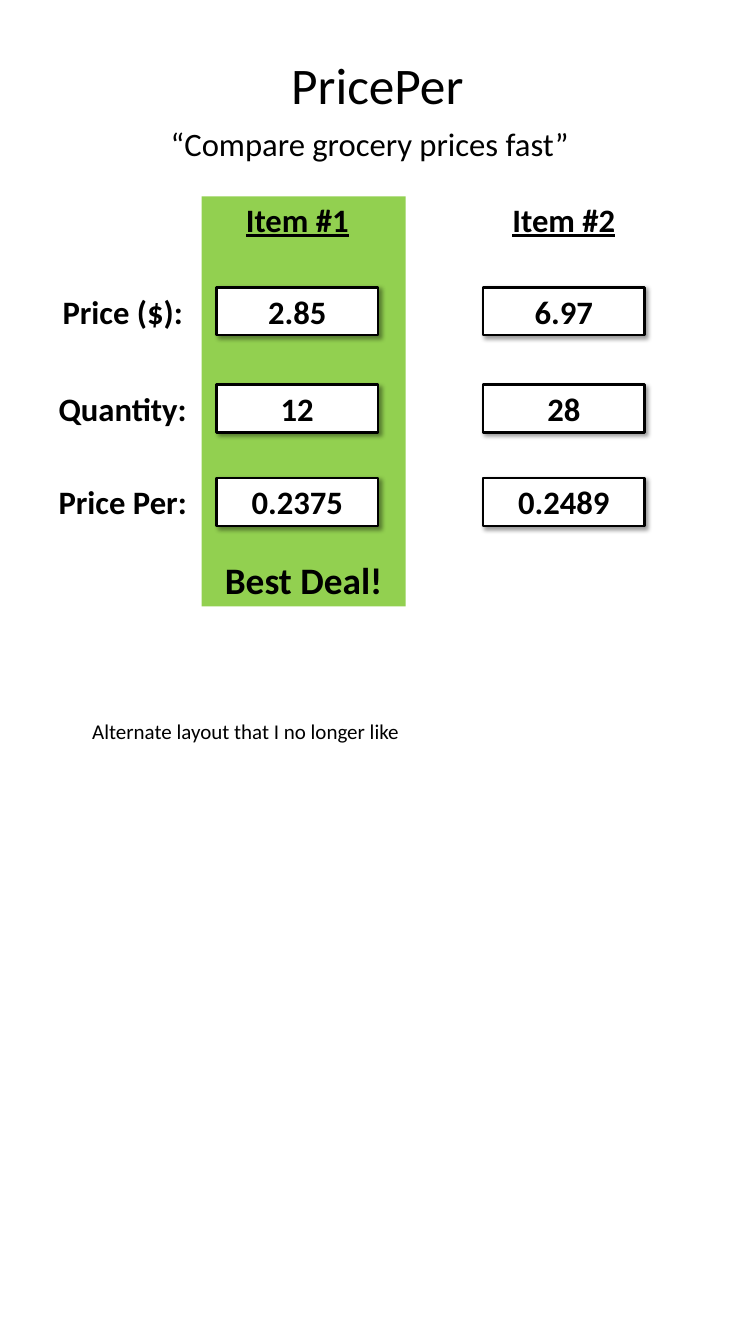
from lxml import etree
from pptx import Presentation
from pptx.dml.color import RGBColor
from pptx.enum.shapes import MSO_SHAPE
from pptx.enum.text import MSO_ANCHOR, PP_ALIGN
from pptx.oxml.ns import qn
from pptx.util import Cm, Pt

RECT = MSO_SHAPE.RECTANGLE
TOP, MIDDLE, BOTTOM = MSO_ANCHOR.TOP, MSO_ANCHOR.MIDDLE, MSO_ANCHOR.BOTTOM
LEFT, CENTER = PP_ALIGN.LEFT, PP_ALIGN.CENTER
BLACK, WHITE, GREEN = "000000", "FFFFFF", "92D050"


def rgb(value):
    return RGBColor.from_string(value)


class Builder:
    font = "Calibri"
    color = BLACK
    size = 28

    def __init__(self, slide):
        self.slide = slide

    def set_text(self, sp, text, size=None, bold=False, underline=False,
                 align=CENTER, anchor=TOP):
        tf = sp.text_frame
        tf.word_wrap = True
        tf.vertical_anchor = anchor
        tf.text = text
        p = tf.paragraphs[0]
        p.alignment = align
        r = p.runs[0]
        r.font.name = self.font
        r.font.size = Pt(size or self.size)
        r.font.bold = bold
        r.font.underline = underline
        r.font.color.rgb = rgb(self.color)

    def label(self, x, y, w, h, text, **style):
        sp = self.slide.shapes.add_textbox(Cm(x), Cm(y), Cm(w), Cm(h))
        self.set_text(sp, text, **style)

    def panel(self, x, y, w, h, text, fill, **style):
        sp = self.slide.shapes.add_shape(RECT, Cm(x), Cm(y), Cm(w), Cm(h))
        sp.shadow.inherit = False
        sp.fill.solid()
        sp.fill.fore_color.rgb = rgb(fill)
        sp.line.fill.background()
        self.set_text(sp, text, bold=True, **style)
        return sp

    def field(self, x, y, w, h, text):
        sp = self.panel(x, y, w, h, text, WHITE)
        sp.line.color.rgb = rgb(BLACK)
        sp.line.width = Pt(2)
        effects = sp._element.spPr.find(qn("a:effectLst"))
        shadow = etree.SubElement(
            effects, qn("a:outerShdw"), blurRad=str(Pt(4)), dist=str(Pt(3)),
            dir=str(45 * 60000), algn="tl", rotWithShape="0")
        clr = etree.SubElement(shadow, qn("a:srgbClr"), val=BLACK)
        etree.SubElement(clr, qn("a:alpha"), val="40000")


prs = Presentation()
prs.slide_width, prs.slide_height = Cm(22.86), Cm(40.64)
s = Builder(prs.slides.add_slide(prs.slide_layouts[6]))

s.panel(6.1, 5.94, 6.17, 12.4, "Best Deal!", GREEN, size=32, anchor=BOTTOM)
s.label(1.7, 1.47, 19.43, 2.11, "PricePer", size=44, anchor=MIDDLE)
s.label(3.18, 3.61, 16, 1.7, "“Compare grocery prices fast”")

FIELD_W, ROW_H = 4.88, 1.45
HEADER_W = 4.02
ITEMS = [("Item #1", 6.55), ("Item #2", 14.61)]
ROWS = [
    ("Price ($):", 8.69, ("2.85", "6.97")),
    ("Quantity:", 11.63, ("12", "28")),
    ("Price Per:", 14.45, ("0.2375", "0.2489")),
]

for item, x in ITEMS:
    s.label(x + (FIELD_W - HEADER_W) / 2, 5.92, HEADER_W, ROW_H, item,
            bold=True, underline=True)

for name, y, values in ROWS:
    s.label(1.27, y, FIELD_W, ROW_H, name, bold=True)
    for (item, x), value in zip(ITEMS, values):
        s.field(x, y, FIELD_W, ROW_H, value)

s.label(2.54, 21.59, 13.34, 1.02, "Alternate layout that I no longer like",
        size=18, align=LEFT)

prs.save("out.pptx")
